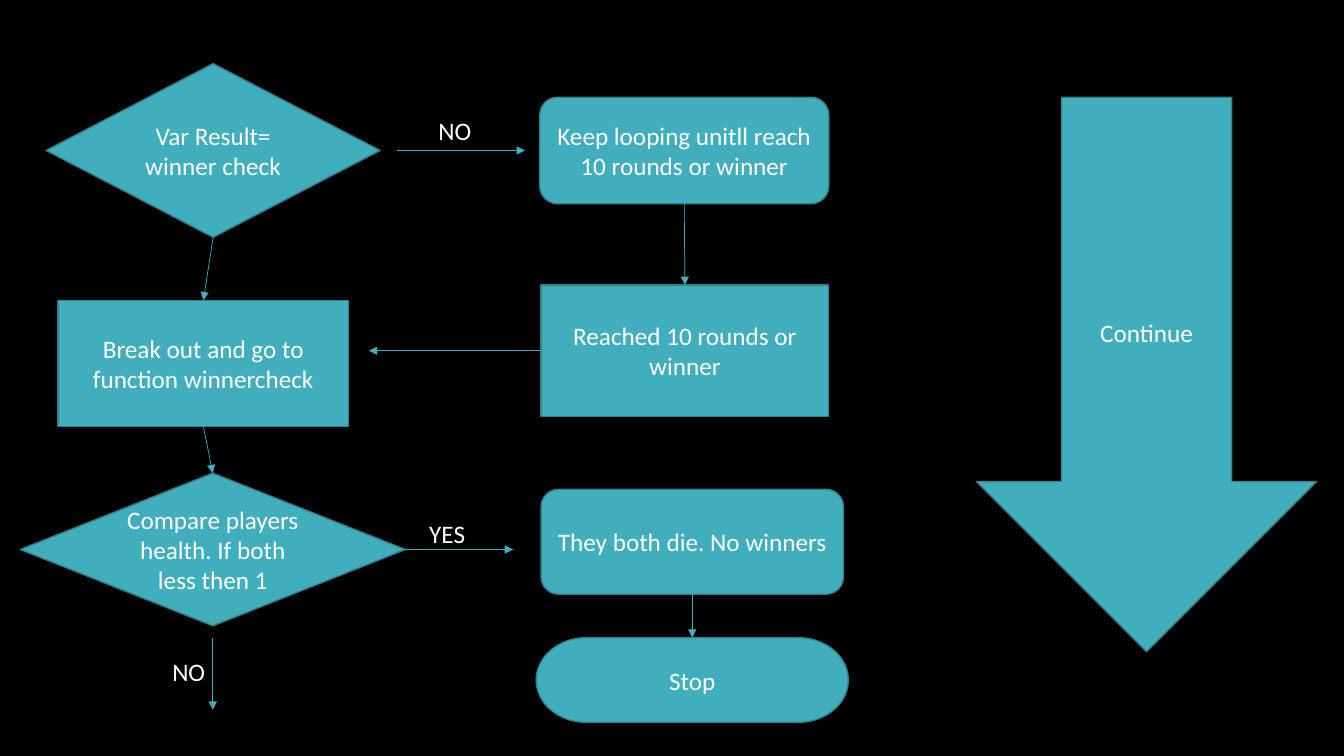
from lxml import etree
from pptx import Presentation
from pptx.dml.color import RGBColor
from pptx.enum.shapes import MSO_CONNECTOR, MSO_SHAPE
from pptx.enum.text import MSO_ANCHOR, MSO_AUTO_SIZE, PP_ALIGN
from pptx.oxml.ns import qn
from pptx.util import Pt

DECISION = MSO_SHAPE.FLOWCHART_DECISION
ALTERNATE = MSO_SHAPE.FLOWCHART_ALTERNATE_PROCESS
PROCESS = MSO_SHAPE.FLOWCHART_PROCESS
TERMINATOR = MSO_SHAPE.FLOWCHART_TERMINATOR
DOWN_ARROW = MSO_SHAPE.DOWN_ARROW
STRAIGHT = MSO_CONNECTOR.STRAIGHT
CENTER, LEFT = PP_ALIGN.CENTER, PP_ALIGN.LEFT
MIDDLE = MSO_ANCHOR.MIDDLE
FIT_SHAPE = MSO_AUTO_SIZE.SHAPE_TO_FIT_TEXT

# Connection sites of the flowchart shapes
TOP_SITE, LEFT_SITE, BOTTOM_SITE, RIGHT_SITE = range(4)


def color(hex_code):
    return RGBColor.from_string(hex_code)


class Flowchart:
    font, size, ink = "Calibri", 18, "FFFFFF"
    fill, outline, background = "41AEBD", "30818C", "000000"

    def __init__(self, slide):
        self.slide = slide
        slide.background.fill.solid()
        slide.background.fill.fore_color.rgb = color(self.background)

    def add_text(self, frame, text, align):
        frame.word_wrap = True
        paragraph = frame.paragraphs[0]
        paragraph.alignment = align
        run = paragraph.add_run()
        run.text = text
        run.font.name = self.font
        run.font.size = Pt(self.size)
        run.font.color.rgb = color(self.ink)

    def step(self, kind, text, *box):
        shape = self.slide.shapes.add_shape(kind, *map(Pt, box))
        shape.shadow.inherit = False
        shape.fill.solid()
        shape.fill.fore_color.rgb = color(self.fill)
        shape.line.color.rgb = color(self.outline)
        shape.line.width = Pt(1)
        shape.text_frame.vertical_anchor = MIDDLE
        self.add_text(shape.text_frame, text, CENTER)
        return shape

    def label(self, text, *box):
        frame = self.slide.shapes.add_textbox(*map(Pt, box)).text_frame
        self.add_text(frame, text, LEFT)
        frame.auto_size = FIT_SHAPE

    def arrow(self, start, end):
        """Each end is a point (x, y) or a pair (step, connection site)."""
        points = [p if isinstance(p[0], (int, float)) else (0, 0)
                  for p in (start, end)]
        line = self.slide.shapes.add_connector(
            STRAIGHT, *(Pt(v) for point in points for v in point))
        for place, attach in ((start, line.begin_connect),
                              (end, line.end_connect)):
            if not isinstance(place[0], (int, float)):
                attach(*place)
        line.line.color.rgb = color(self.fill)
        line.line.width = Pt(0.5)
        properties = line._element.spPr
        etree.SubElement(properties.find(qn("a:ln")), qn("a:tailEnd"),
                         type="triangle")
        etree.SubElement(properties, qn("a:effectLst"))


def main():
    deck = Presentation()
    deck.slide_width, deck.slide_height = Pt(960), Pt(540)
    chart = Flowchart(deck.slides.add_slide(deck.slide_layouts[6]))

    # Steps on the left
    result = chart.step(DECISION, "Var Result= winner check",
                        33, 45.5, 238.5, 124)
    break_out = chart.step(PROCESS, "Break out and go to function winnercheck",
                           41.5, 214.5, 207.5, 90)
    compare = chart.step(DECISION,
                         "Compare players health. If both less then 1",
                         14.5, 338, 275, 109)

    # Steps in the middle
    keep_looping = chart.step(ALTERNATE,
                              "Keep looping unitll reach 10 rounds or winner",
                              385.5, 69.5, 206.5, 76)
    reached = chart.step(PROCESS, "Reached 10 rounds or winner",
                         386.5, 203.5, 205.5, 94)
    both_die = chart.step(ALTERNATE, "They both die. No winners",
                          386.5, 349.5, 216, 75)
    stop = chart.step(TERMINATOR, "Stop", 383, 455.5, 223, 60.5)

    # Large arrow on the right
    chart.step(DOWN_ARROW, "Continue", 697.5, 69.5, 243, 396)

    # Arrows from one step down to the next
    for upper, lower in ((result, break_out), (break_out, compare),
                         (keep_looping, reached), (both_die, stop)):
        chart.arrow((upper, BOTTOM_SITE), (lower, TOP_SITE))

    # Arrows with a free end
    chart.arrow((283.5, 107.5), (375, 107.5))
    chart.arrow((reached, LEFT_SITE), (263.5, 250.5))
    chart.arrow((compare, RIGHT_SITE), (366.5, 392.5))
    chart.arrow((152, 455.5), (152, 507))

    # Answers beside the arrows
    chart.label("NO", 306, 78.5, 45, 29)
    chart.label("YES", 299.5, 367, 67, 29)
    chart.label("NO", 116, 465.5, 58, 30)

    deck.save("out.pptx")


if __name__ == "__main__":
    main()
